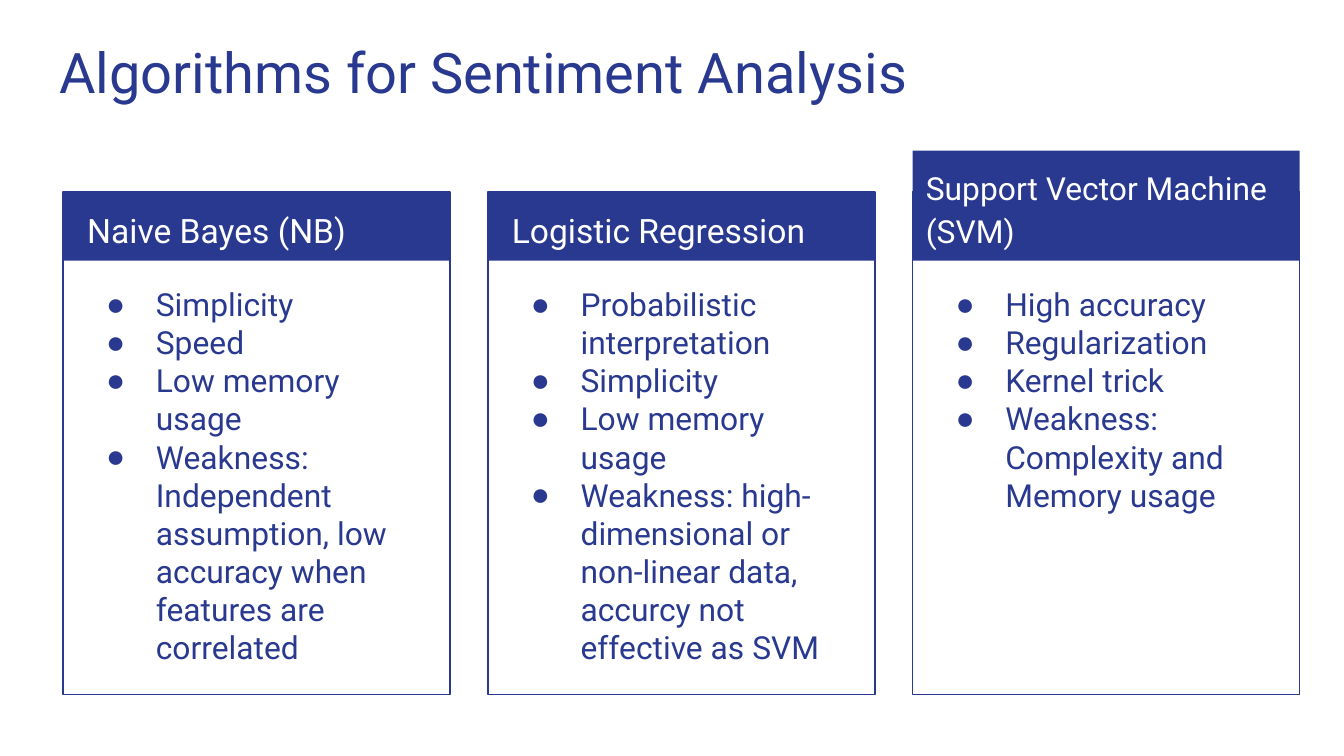
from dataclasses import dataclass

from lxml.etree import SubElement
from pptx import Presentation
from pptx.dml.color import RGBColor
from pptx.enum.shapes import MSO_SHAPE
from pptx.enum.text import MSO_ANCHOR, MSO_AUTO_SIZE, PP_ALIGN
from pptx.oxml.ns import qn
from pptx.util import Inches, Pt

COLORS = {"navy": "2A3990", "white": "FFFFFF"}
FONT = "Roboto"
BULLET_FONT = "Arial"
COMPARISON_LAYOUT = 4
FIRST_LEFT, COLUMN_STEP, COLUMN_WIDTH = 0.47, 3.16, 2.88
CARD_TOP, CARD_HEIGHT, HEADER_BOTTOM = 1.43, 3.74, 1.94


@dataclass
class Algorithm:
    heading: str
    traits: list[str]
    placeholder_idx: int
    header_top: float = CARD_TOP
    heading_indent: float = 0.08
    heading_size: int = 18


ALGORITHMS = [
    Algorithm("Naive Bayes (NB)", [
        "Simplicity", "Speed", "Low memory usage",
        "Weakness: Independent assumption, low accuracy when features are correlated",
    ], 1),
    Algorithm("Logistic Regression", [
        "Probabilistic interpretation", "Simplicity", "Low memory usage",
        "Weakness: high-dimensional or non-linear data, accurcy not effective as SVM",
    ], 2),
    Algorithm("Support Vector Machine (SVM)", [
        "High accuracy", "Regularization", "Kernel trick",
        "Weakness: Complexity and Memory usage",
    ], 4, header_top=1.12, heading_indent=0, heading_size=17),
]


def color(name: str) -> RGBColor:
    return RGBColor.from_string(COLORS[name])


def place(shape, left: float, top: float, width: float, height: float) -> None:
    shape.left, shape.top = Inches(left), Inches(top)
    shape.width, shape.height = Inches(width), Inches(height)


def write(shape, lines: list[str], size: int, color_name: str, spacing: float = 1.0) -> None:
    """Fill a text shape with one formatted paragraph per line."""
    frame = shape.text_frame
    frame.text = "\n".join(lines)
    frame.word_wrap = True
    frame.auto_size = MSO_AUTO_SIZE.NONE
    frame.vertical_anchor = MSO_ANCHOR.TOP
    frame.margin_left = frame.margin_right = Inches(0.1)
    frame.margin_top = frame.margin_bottom = Inches(0.1)
    for paragraph in frame.paragraphs:
        paragraph.alignment = PP_ALIGN.LEFT
        paragraph.line_spacing = spacing
        paragraph.space_before = paragraph.space_after = Pt(0)
        for run in paragraph.runs:
            run.font.name = FONT
            run.font.size = Pt(size)
            run.font.bold = False
            run.font.color.rgb = color(color_name)


def add_bullets(shape) -> None:
    for paragraph in shape.text_frame.paragraphs:
        properties = paragraph._p.get_or_add_pPr()
        properties.set("marL", str(Inches(0.5)))
        properties.set("indent", str(Inches(-0.37)))
        bullet_color = SubElement(properties, qn("a:buClr"))
        SubElement(bullet_color, qn("a:srgbClr"), val=COLORS["navy"])
        SubElement(properties, qn("a:buFont"), typeface=BULLET_FONT)
        SubElement(properties, qn("a:buChar"), char="●")


def add_rectangle(slide, left: float, top: float, height: float, filled: bool) -> None:
    rectangle = slide.shapes.add_shape(
        MSO_SHAPE.RECTANGLE, Inches(left), Inches(top), Inches(COLUMN_WIDTH), Inches(height))
    rectangle.shadow.inherit = False
    if filled:
        rectangle.fill.solid()
        rectangle.fill.fore_color.rgb = color("navy")
        rectangle.line.fill.background()
    else:
        rectangle.fill.background()
        rectangle.line.color.rgb = color("navy")
        rectangle.line.width = Pt(0.75)


def add_card(slide, algorithm: Algorithm, left: float) -> None:
    header_height = HEADER_BOTTOM - algorithm.header_top
    add_rectangle(slide, left, CARD_TOP, CARD_HEIGHT, filled=False)
    add_rectangle(slide, left, algorithm.header_top, header_height, filled=True)

    indent = algorithm.heading_indent
    heading = slide.shapes.add_textbox(
        Inches(left + indent), Inches(algorithm.header_top - 0.01),
        Inches(COLUMN_WIDTH - 2 * indent), Inches(header_height))
    write(heading, [algorithm.heading], algorithm.heading_size, "white", spacing=1.15)

    traits = slide.placeholders[algorithm.placeholder_idx]
    place(traits, left + 0.09, 2.02, 2.71, 3.06)
    write(traits, algorithm.traits, 17, "navy")
    add_bullets(traits)


def main() -> None:
    presentation = Presentation()
    presentation.slide_width = Inches(10)
    presentation.slide_height = presentation.slide_width * 9 // 16
    slide = presentation.slides.add_slide(presentation.slide_layouts[COMPARISON_LAYOUT])

    title = slide.shapes.title
    place(title, 0.34, 0.18, 9.32, 0.66)
    write(title, ["Algorithms for Sentiment Analysis"], 30, "navy")

    for column, algorithm in enumerate(ALGORITHMS):
        add_card(slide, algorithm, FIRST_LEFT + column * COLUMN_STEP)

    for placeholder in list(slide.placeholders):
        if not placeholder.text_frame.text:
            placeholder.element.getparent().remove(placeholder.element)

    presentation.save("out.pptx")


if __name__ == "__main__":
    main()
